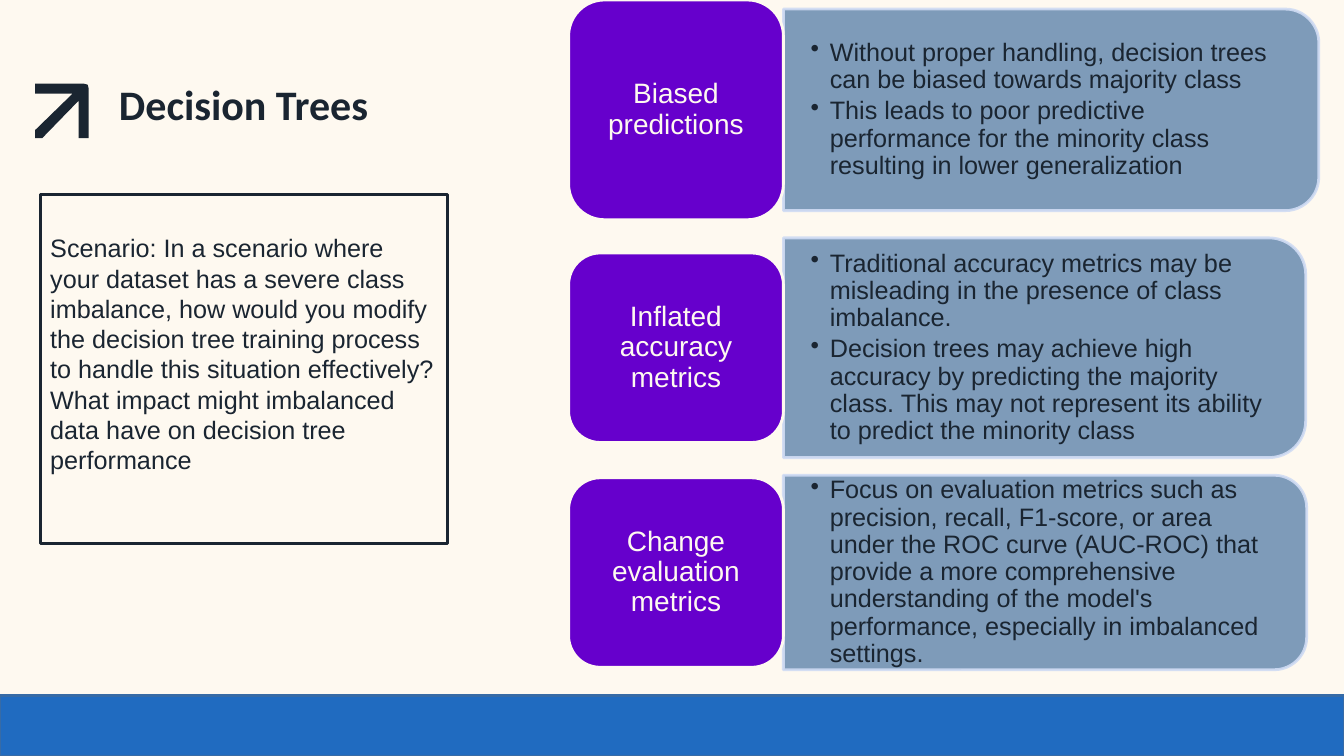
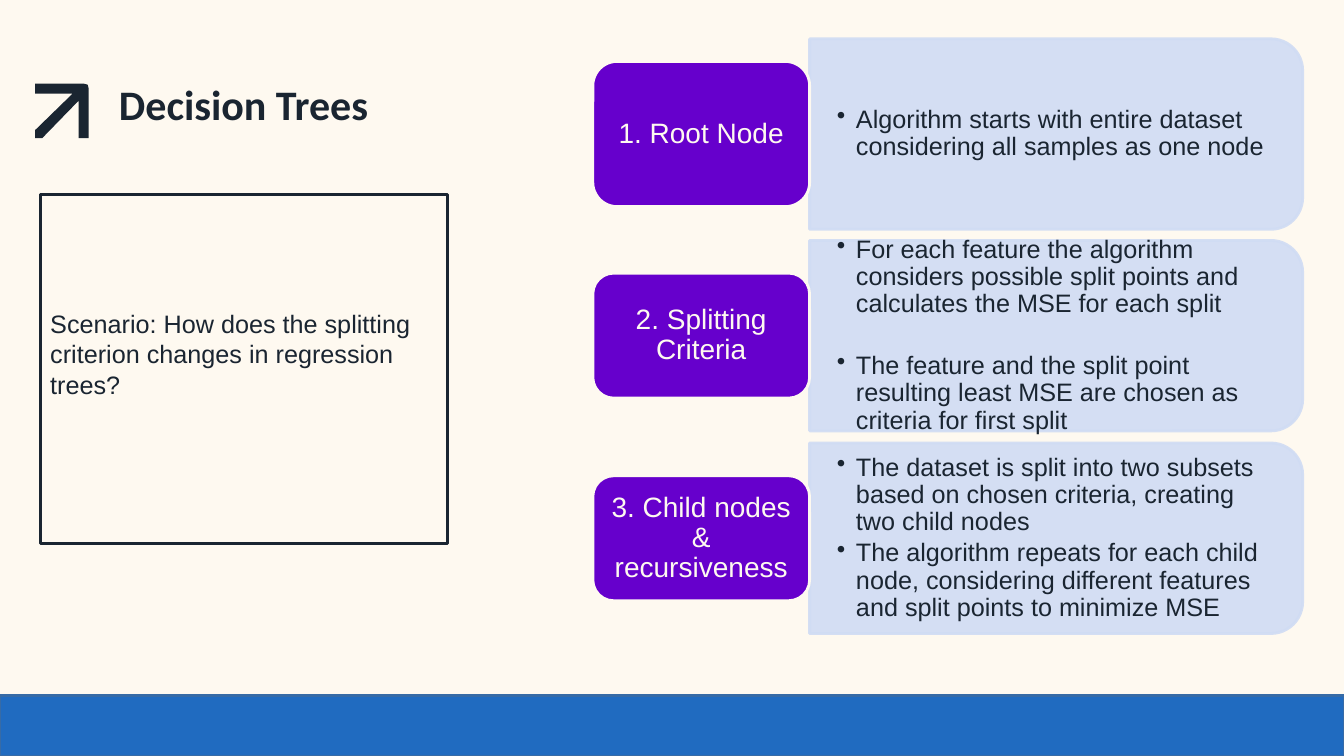
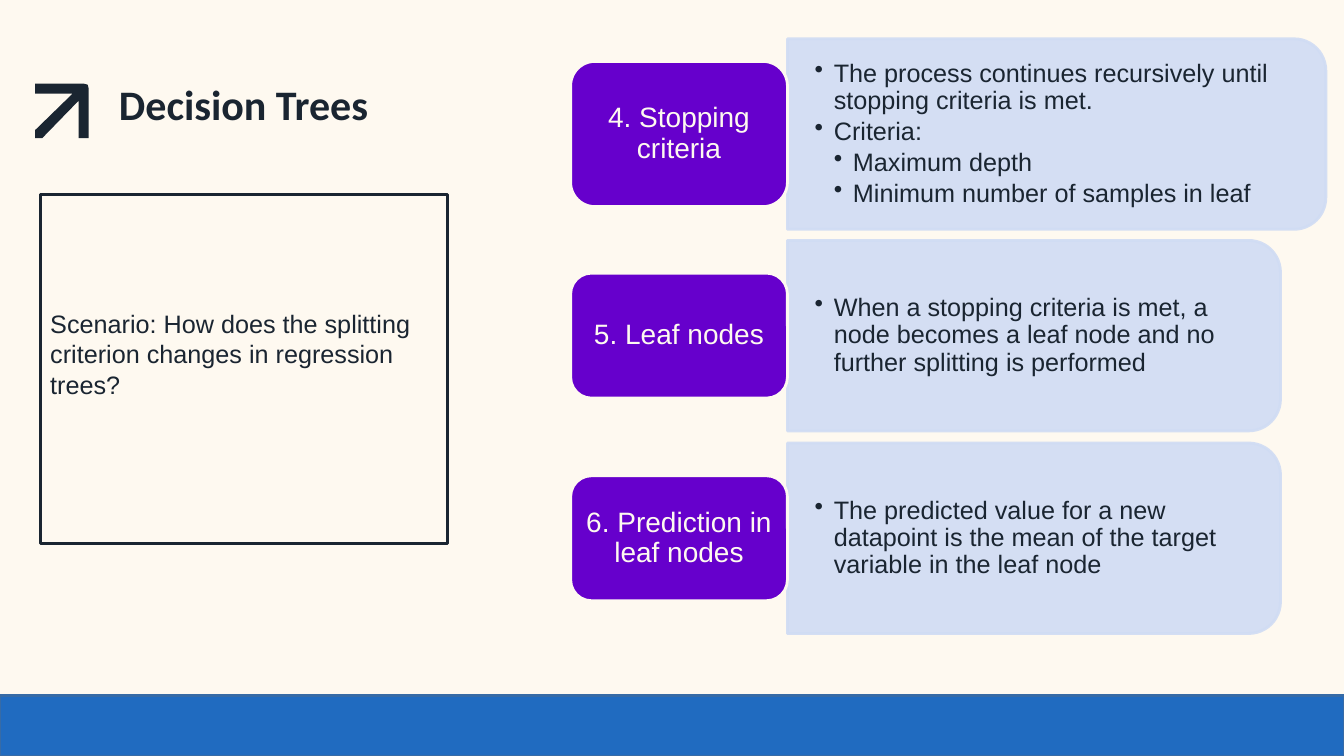
from collections import namedtuple

from lxml.etree import SubElement
from pptx import Presentation
from pptx.dml.color import RGBColor
from pptx.enum.shapes import MSO_SHAPE
from pptx.enum.text import MSO_ANCHOR, MSO_AUTO_SIZE, PP_ALIGN
from pptx.oxml.ns import qn
from pptx.util import Inches, Pt

CREAM, INK, PURPLE = "FEF9F0", "1A2531", "6600CC"
STEEL, PALE = "7191B4", "D0DCF4"
BAND, BAND_EDGE = "206BC0", "376BA6"

# Corners of the arrow, in hundredths of an inch
ARROW = [(35, 83), (35, 93), (72, 93), (35, 129), (35, 137), (42, 137),
         (78, 100), (78, 137), (88, 137), (88, 88), (87, 84), (83, 83)]

Bullet = namedtuple("Bullet", "text level space_before", defaults=(1, 0))
Row = namedtuple("Row", "label middle label_height panel_width panel_height bullets")


def color(hex_string):
    return RGBColor.from_string(hex_string)


class Deck:
    """Holds the shared style and the slide being built."""

    def __init__(self):
        self.prs = Presentation()
        self.prs.slide_width, self.prs.slide_height = Inches(13.33), Inches(7.5)
        background = self.prs.slide_master.background.fill
        background.solid()
        background.fore_color.rgb = color(CREAM)
        self.slide = None

    def add_slide(self, title, scenario):
        self.slide = self.prs.slides.add_slide(self.prs.slide_layouts[5])
        self.arrow()
        self.title(title)
        self.scenario(scenario)
        self.shape(MSO_SHAPE.RECTANGLE, 0, 6.9, 13.33, 0.6, BAND, BAND_EDGE)

    def shape(self, preset, left, top, width, height, fill, line):
        shape = self.slide.shapes.add_shape(
            preset, Inches(left), Inches(top), Inches(width), Inches(height))
        self.paint(shape, fill)
        shape.line.color.rgb = color(line)
        shape.line.width = Pt(2)
        return shape

    def paint(self, shape, fill):
        shape.shadow.inherit = False
        shape.fill.solid()
        shape.fill.fore_color.rgb = color(fill)

    def frame(self, shape, side, top, bottom, anchor=MSO_ANCHOR.MIDDLE):
        """Set the insets (inches), wrapping and anchor of a shape's text."""
        frame = shape.text_frame
        frame.word_wrap = True
        frame.auto_size = MSO_AUTO_SIZE.NONE
        frame.vertical_anchor = anchor
        frame.margin_left = frame.margin_right = Inches(side)
        frame.margin_top, frame.margin_bottom = Inches(top), Inches(bottom)
        return frame

    def format(self, paragraph, size, text_color=INK, font="Arial", bold=False,
               align=PP_ALIGN.LEFT):
        paragraph.alignment = align
        for run in paragraph.runs:
            run.font.name, run.font.size, run.font.bold = font, Pt(size), bold
            run.font.color.rgb = color(text_color)

    def arrow(self):
        builder = self.slide.shapes.build_freeform(*ARROW[0], scale=Inches(0.01))
        builder.add_line_segments(ARROW[1:])
        arrow = builder.convert_to_shape()
        self.paint(arrow, INK)
        arrow.line.fill.background()

    def title(self, text):
        title = self.slide.shapes.title
        title.left, title.top = Inches(1.05), Inches(0.65)
        title.width, title.height = Inches(4.53), Inches(0.84)
        frame = self.frame(title, 0.13, 0.13, 0.13, MSO_ANCHOR.TOP)
        frame.text = text
        self.format(frame.paragraphs[0], 30, font="Calibri", bold=True)

    def scenario(self, text):
        box = self.shape(MSO_SHAPE.RECTANGLE, 0.4, 1.93, 4.04, 3.46, CREAM, INK)
        frame = self.frame(box, 0.1, 0.05, 0.35)
        frame.text = text
        self.format(frame.paragraphs[0], 18)

    def label(self, text, left, middle, width, height):
        label = self.shape(MSO_SHAPE.ROUNDED_RECTANGLE, left, middle - height / 2,
                           width, height, PURPLE, CREAM)
        frame = self.frame(label, 0.08, 0.04, 0.04)
        frame.text = text
        frame.paragraphs[0].line_spacing = 0.9
        self.format(frame.paragraphs[0], 20, CREAM, align=PP_ALIGN.CENTER)

    def panel(self, left, middle, width, height, fill):
        """Draw a panel rounded on the right: a top-rounded shape turned by 90°."""
        panel = self.shape(MSO_SHAPE.ROUND_2_SAME_RECTANGLE,
                           left + (width - height) / 2, middle - width / 2,
                           height, width, fill, PALE)
        panel.rotation = 90
        for solid in panel.element.spPr.iter(qn("a:srgbClr")):
            SubElement(solid, qn("a:alpha"), val="90000")

    def bullets(self, bullets, left, middle, width, height):
        box = self.slide.shapes.add_textbox(
            Inches(left), Inches(middle - height / 2), Inches(width), Inches(height))
        frame = self.frame(box, 0.27, 0.14, 0.14)
        frame.text = "\n".join(bullet.text for bullet in bullets)
        for paragraph, bullet in zip(frame.paragraphs, bullets):
            properties = paragraph._p.get_or_add_pPr()
            properties.set("marL", str(Inches(0.19 * bullet.level)))
            properties.set("indent", str(Inches(-0.19)))
            SubElement(properties, qn("a:buChar"), char="•")
            paragraph.line_spacing = 0.9
            paragraph.space_after = Pt(2.7)
            if bullet.space_before:
                paragraph.space_before = Pt(bullet.space_before)
            self.format(paragraph, 18)

    def rows(self, left, label_width, panel_fill, rows):
        """Draw labels with a panel on the right, each pair on one middle line."""
        panel_left = left + label_width
        for row in rows:
            self.panel(panel_left, row.middle, row.panel_width, row.panel_height,
                       panel_fill)
            self.bullets(row.bullets, panel_left, row.middle,
                         row.panel_width - 0.09, row.panel_height - 0.19)
            self.label(row.label, left, row.middle, label_width, row.label_height)


def main():
    deck = Deck()
    title = "Decision Trees"
    regression = ("Scenario: How does the splitting criterion changes in "
                  "regression trees?")

    deck.add_slide(title, (
        "Scenario: In a scenario where your dataset has a severe class imbalance, "
        "how would you modify the decision tree training process to handle this "
        "situation effectively? What impact might imbalanced data have on decision "
        "tree performance"))
    deck.rows(5.64, 2.13, STEEL, [
        Row("Biased predictions", 1.09, 2.18, 5.31, 2, [
            Bullet("Without proper handling, decision trees can be biased towards "
                   "majority class"),
            Bullet("This leads to poor predictive performance for the minority class "
                   "resulting in lower generalization")]),
        Row("Inflated accuracy metrics", 3.45, 1.88, 5.18, 2.18, [
            Bullet("Traditional accuracy metrics may be misleading in the presence of "
                   "class imbalance."),
            Bullet("Decision trees may achieve high accuracy by predicting the "
                   "majority class. This may not represent its ability to predict "
                   "the minority class")]),
        Row("Change evaluation metrics", 5.68, 1.88, 5.19, 1.93, [
            Bullet("Focus on evaluation metrics such as precision, recall, F1-score, "
                   "or area under the ROC curve (AUC-ROC) that provide a more "
                   "comprehensive understanding of the model's performance, "
                   "especially in imbalanced settings.")]),
    ])

    deck.add_slide(title, regression)
    deck.rows(5.88, 2.15, PALE, [
        Row("1. Root Node", 1.33, 1.44, 4.89, 1.89, [
            Bullet("Algorithm starts with entire dataset considering all samples as "
                   "one node")]),
        Row("2. Splitting Criteria", 3.33, 1.24, 4.89, 1.89, [
            Bullet("For each feature the algorithm considers possible split points "
                   "and calculates the MSE for each split"),
            Bullet("The feature and the split point resulting least MSE are chosen as "
                   "criteria for first split", space_before=22)]),
        Row("3. Child nodes & recursiveness", 5.34, 1.24, 4.89, 1.89, [
            Bullet("The dataset is split into two subsets based on chosen criteria, "
                   "creating two child nodes"),
            Bullet("The algorithm repeats for each child node, considering different "
                   "features and split points to minimize MSE")]),
    ])

    deck.add_slide(title, regression)
    deck.rows(5.66, 2.15, PALE, [
        Row("4. Stopping criteria", 1.33, 1.44, 5.34, 1.89, [
            Bullet("The process continues recursively until stopping criteria is met."),
            Bullet("Criteria:"),
            Bullet("Maximum depth", level=2),
            Bullet("Minimum number of samples in leaf", level=2)]),
        Row("5. Leaf nodes", 3.33, 1.24, 4.89, 1.89, [
            Bullet("When a stopping criteria is met, a node becomes a leaf node and "
                   "no further splitting is performed")]),
        Row("6. Prediction in leaf nodes", 5.34, 1.24, 4.89, 1.89, [
            Bullet("The predicted value for a new datapoint is the mean of the target "
                   "variable in the leaf node")]),
    ])

    deck.prs.save("out.pptx")


if __name__ == "__main__":
    main()
